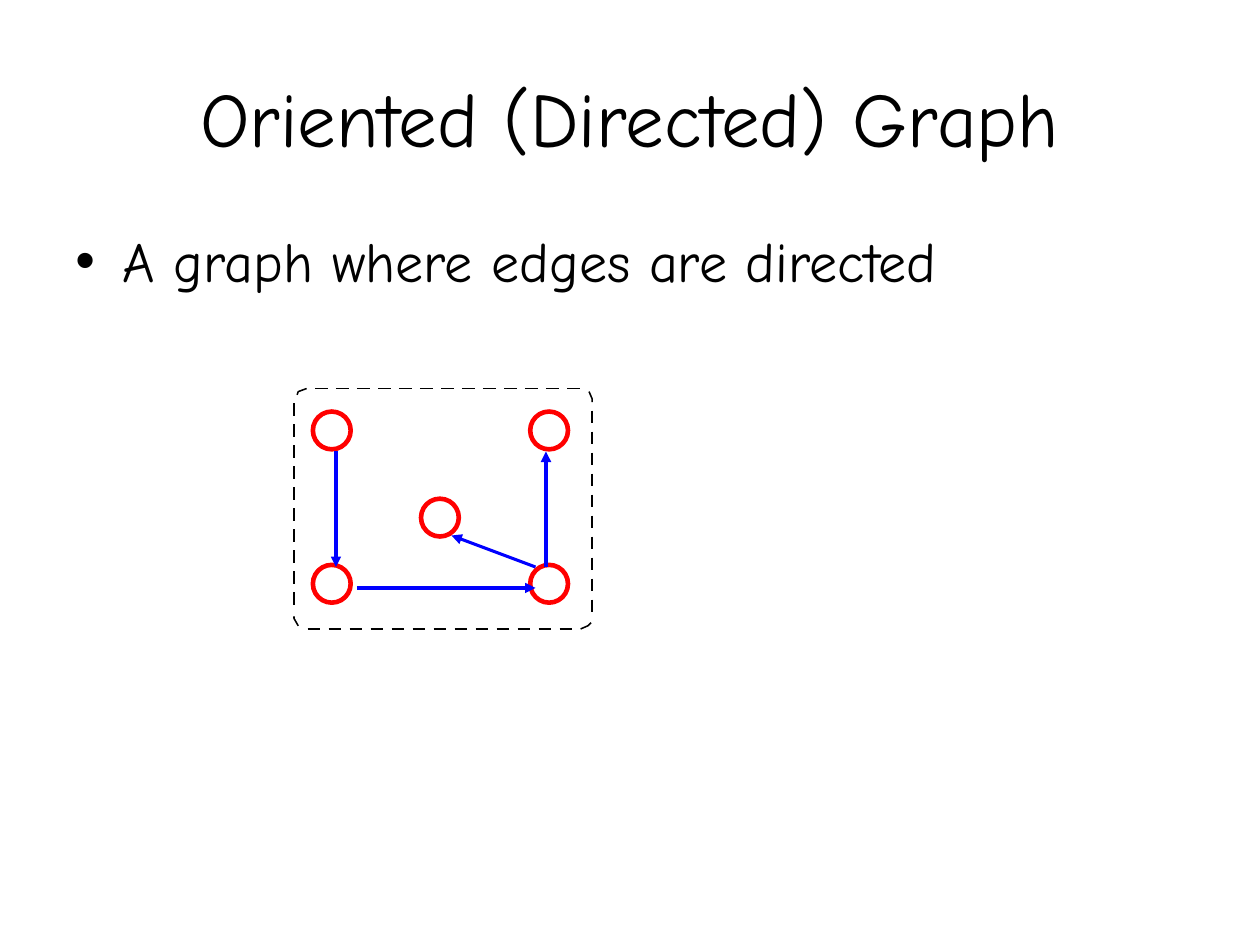
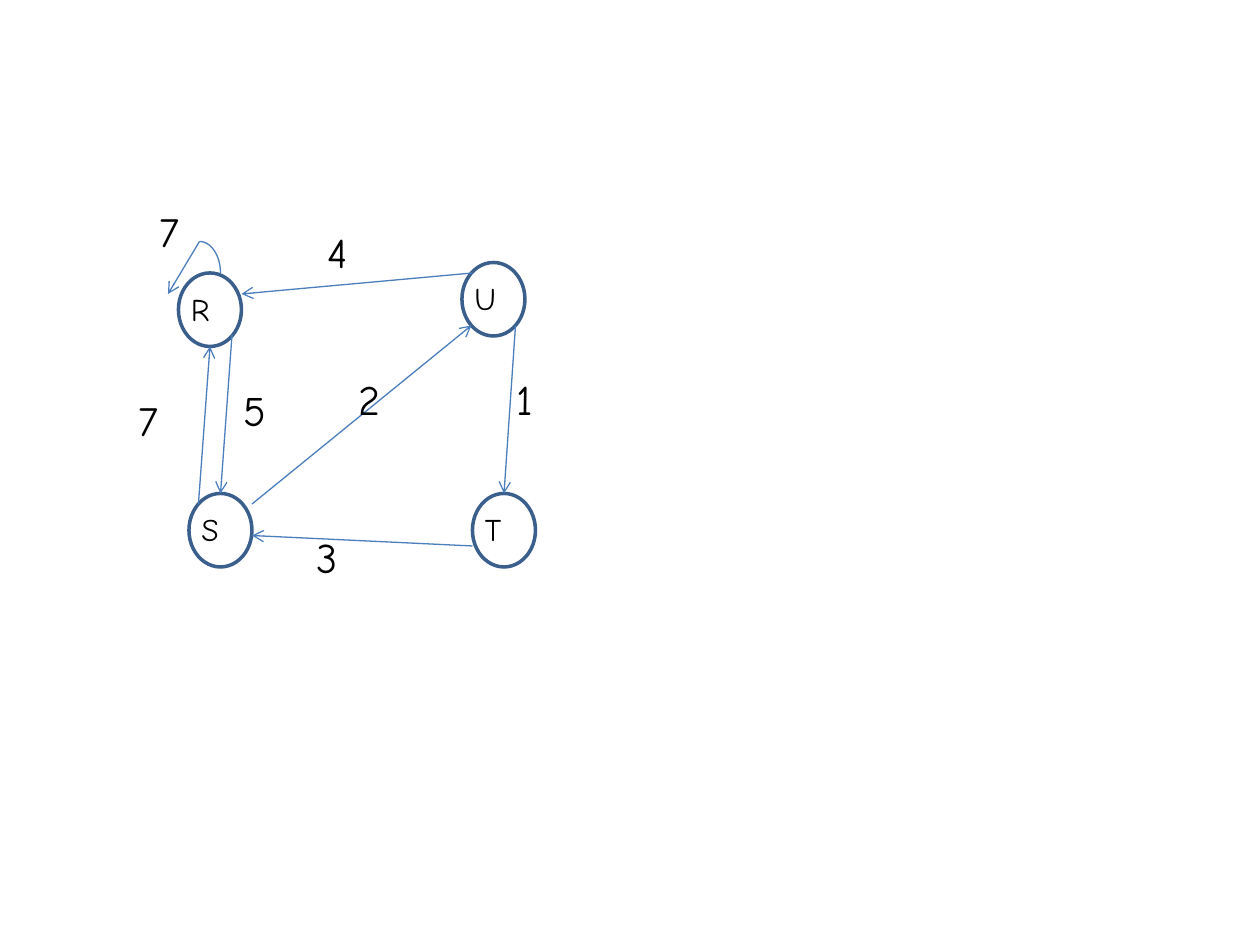
from dataclasses import dataclass

from lxml import etree
from pptx import Presentation
from pptx.dml.color import RGBColor
from pptx.enum.shapes import MSO_CONNECTOR, MSO_SHAPE
from pptx.enum.text import MSO_ANCHOR, PP_ALIGN
from pptx.oxml.ns import qn
from pptx.util import Pt

EMU_PER_PX = 7620  # 120 px to the inch
TITLE_ONLY, BLANK = 5, 6


@dataclass(frozen=True)
class Theme:
    font: str = "Comic Neue"
    ink: str = "000000"
    paper: str = "FFFFFF"
    plain_node: str = "FF0000"
    plain_edge: str = "0000FF"
    named_node: str = "3A5F8C"
    weighted_edge: str = "4B7EBC"
    title_size: int = 44
    body_size: int = 32
    weight_size: int = 24
    node_size: int = 18
    frame_width: float = 0.88


THEME = Theme()


def px(length):
    return length * EMU_PER_PX


def place(part, left, top, width, height):
    part.left, part.top = px(left), px(top)
    part.width, part.height = px(width), px(height)


def style_text(paragraph, size):
    for run in paragraph.runs:
        run.font.name = THEME.font
        run.font.size = Pt(size)
        run.font.color.rgb = RGBColor.from_string(THEME.ink)


def add_text(slide, box, text, size):
    label = slide.shapes.add_textbox(*map(px, box))
    label.text_frame.word_wrap = True
    label.text_frame.text = text
    paragraph = label.text_frame.paragraphs[0]
    style_text(paragraph, size)
    return paragraph


def style_outline(outline, color, width, fill=None):
    outline.shadow.inherit = False
    if fill:
        outline.fill.solid()
        outline.fill.fore_color.rgb = RGBColor.from_string(fill)
    else:
        outline.fill.background()
    outline.line.color.rgb = RGBColor.from_string(color)
    outline.line.width = Pt(width)


def add_outline(slide, preset, box, color, width, fill=None):
    outline = slide.shapes.add_shape(preset, *map(px, box))
    style_outline(outline, color, width, fill)


def add_edge(slide, origin, ends, color, width, head=None):
    """Draw a line or arrow whose ends (x1, y1, x2, y2) are relative to origin."""
    x, y = origin
    x1, y1, x2, y2 = ends
    edge = slide.shapes.add_connector(
        MSO_CONNECTOR.STRAIGHT, px(x + x1), px(y + y1), px(x + x2), px(y + y2))
    edge.line.color.rgb = RGBColor.from_string(color)
    edge.line.width = Pt(width)
    if head:
        etree.SubElement(edge.line._get_or_add_ln(), qn("a:tailEnd"), type=head)
    etree.SubElement(edge._element.spPr, qn("a:effectLst"))


def add_title(slide, box, text):
    title = slide.shapes.title
    place(title, *box)
    title.text_frame.text = text
    title.text_frame.vertical_anchor = MSO_ANCHOR.MIDDLE
    paragraph = title.text_frame.paragraphs[0]
    paragraph.alignment = PP_ALIGN.CENTER
    style_text(paragraph, THEME.title_size)


def add_bullet(slide, box, text):
    paragraph = add_text(slide, box, text, THEME.body_size)
    paragraph.space_before = Pt(6)
    properties = paragraph._p.get_or_add_pPr()
    properties.set("marL", str(px(45)))
    properties.set("indent", str(px(-45)))
    etree.SubElement(properties, qn("a:buFont"), typeface="Arial")
    etree.SubElement(properties, qn("a:buChar"), char="•")


def add_frame(slide, box):
    """Draw the border of the plain graph as even dashes with bent corners."""
    left, top, width, height = box
    pitch, dash = 20, 12
    for y, start in [(0, 20), (height, 13)]:
        for x in range(start, start + 13 * pitch, pitch):
            add_edge(slide, (left, top), (x, y, x + dash, y),
                     THEME.ink, THEME.frame_width)
    for x, start in [(0, 14), (width, 21)]:
        for y in range(start, start + 10 * pitch, pitch):
            add_edge(slide, (left, top), (x, y, x, y + dash),
                     THEME.ink, THEME.frame_width)

    corners = [
        [(12, 0), (4, 3), (3, 6)],
        [(width, 13), (width, 10), (width - 3, 3)],
        [(0, height - 12), (0, height - 10), (4, height - 3)],
        [(width - 11, height), (width - 4, height - 3), (width - 1, height - 6)],
    ]
    for corner in corners:
        start, *bends = [(left + x, top + y) for x, y in corner]
        builder = slide.shapes.build_freeform(*start, scale=EMU_PER_PX)
        builder.add_line_segments(bends, close=False)
        style_outline(builder.convert_to_shape(), THEME.ink, THEME.frame_width)


def add_plain_graph(slide, box):
    left, top, _, _ = box
    add_frame(slide, box)
    diameter = 36
    west, east, north, south = 18, 225, 22, 168
    centre = (121, 105)
    for x, y in [(west, north), (west, south), (east, north), (east, south), centre]:
        add_outline(slide, MSO_SHAPE.OVAL, (left + x, top + y, diameter, diameter),
                    THEME.plain_node, 2.63, THEME.paper)
    for ends, width in [
        ((40, 60, 40, 170), 1.75),
        ((60, 190, 230, 190), 1.75),
        ((230, 170, 150, 140), 1.75),
        ((240, 170, 240, 60), 2),
    ]:
        add_edge(slide, (left, top), ends, THEME.plain_edge, width, "triangle")


def add_weighted_graph(slide, origin):
    left, top = origin
    nodes = {"R": (50, 70), "U": (320, 60), "S": (60, 280), "T": (330, 280)}
    for name, (x, y) in nodes.items():
        add_outline(slide, MSO_SHAPE.OVAL, (left + x, top + y, 60, 70),
                    THEME.named_node, 2)
        add_text(slide, (left + x, top + y + 10, 70, 48), name, THEME.node_size)

    # Each edge: weight, place of the weight, ends
    edges = [
        ("4", (180, 20), (330, 70, 110, 90)),
        ("3", (170, 310), (330, 330, 120, 320)),
        ("2", (210, 160), (120, 290, 329, 120)),
        ("1", (360, 160), (371, 120, 360, 280)),
        ("5", (100, 170), (101, 129, 90, 280)),
        ("7", (0, 180), (69, 290, 80, 140)),
        ("7", (20, 0), (70, 40, 40, 90)),
    ]
    add_outline(slide, MSO_SHAPE.ARC, (left + 50, top + 40, 40, 60),
                THEME.weighted_edge, 0.75)
    for weight, (x, y), ends in edges:
        add_edge(slide, origin, ends, THEME.weighted_edge, 0.75, "arrow")
        add_text(slide, (left + x, top + y, 70, 60), weight, THEME.weight_size)


def add_slide(deck, layout):
    slide = deck.slides.add_slide(deck.slide_layouts[layout])
    slide.background.fill.solid()
    slide.background.fill.fore_color.rgb = RGBColor.from_string(THEME.paper)
    return slide


def build_definition_slide(deck):
    slide = add_slide(deck, TITLE_ONLY)
    add_title(slide, (60, 36, 1080, 150), "Oriented (Directed) Graph")
    add_bullet(slide, (60, 210, 1080, 594), "A graph where edges are directed")
    add_plain_graph(slide, (280, 370, 284, 229))


def build_weighted_slide(deck):
    slide = add_slide(deck, BLANK)
    add_weighted_graph(slide, (120, 190))


def main():
    deck = Presentation()
    deck.slide_width, deck.slide_height = px(1200), px(900)
    build_definition_slide(deck)
    build_weighted_slide(deck)
    deck.save("out.pptx")


if __name__ == "__main__":
    main()
